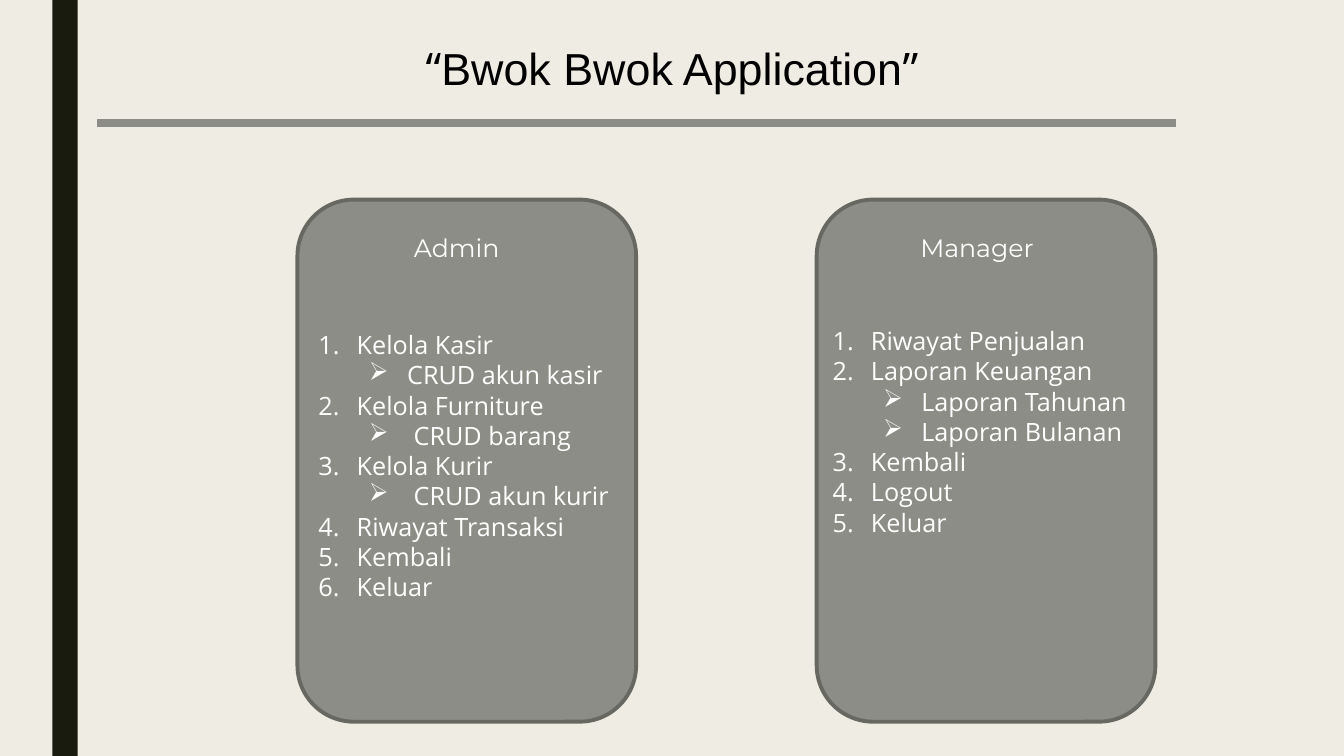
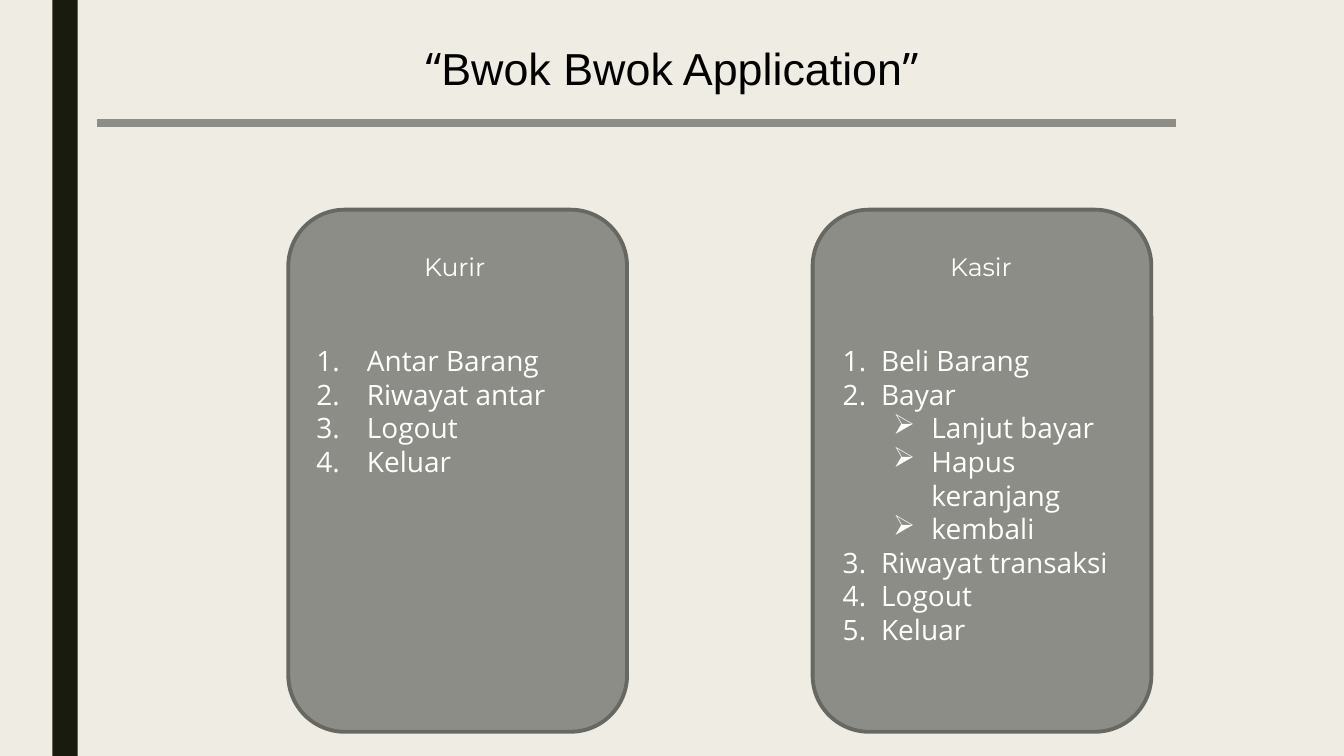
import pptx
import pptx.util
import pptx.dml.color
import pptx.enum.shapes
import pptx.enum.text
import pptx.oxml.ns
import lxml.etree

Inches, Pt = pptx.util.Inches, pptx.util.Pt
SHAPE = pptx.enum.shapes.MSO_SHAPE
TEXT = pptx.enum.text
qn = pptx.oxml.ns.qn

# Content: title runs as (text, font); list items as (level, text)
TITLE = [("“", "Open Sans"), ("Bwok Bwok Application", "Arial"), ("”", "Open Sans")]
SLIDES = [
    dict(top=1.98, head=2.26, size=18, cards=[
        dict(name="Admin", left=2.95, name_x=3.22, list_at=(3.06, 3.22), hang=0.38, items=[
            (0, "Kelola Kasir"), (1, "CRUD akun kasir"),
            (0, "Kelola Furniture"), (1, " CRUD barang"),
            (0, "Kelola Kurir"), (1, " CRUD akun kurir"),
            (0, "Riwayat Transaksi"), (0, "Kembali"), (0, "Keluar")]),
        dict(name="Manager", left=8.1, name_x=8.38, list_at=(8.16, 3.18), hang=0.38, items=[
            (0, "Riwayat Penjualan"), (0, "Laporan Keuangan"),
            (1, "Laporan Tahunan"), (1, "Laporan Bulanan"),
            (0, "Kembali"), (0, "Logout"), (0, "Keluar")]),
    ]),
    dict(top=2.08, head=2.44, size=20, cards=[
        dict(name="Kurir", left=2.86, name_x=3.2, list_at=(3.04, 3.36), hang=0.5, items=[
            (0, "Antar Barang"), (0, "Riwayat antar"), (0, "Logout"), (0, "Keluar")]),
        dict(name="Kasir", left=8.06, name_x=8.42, list_at=(8.26, 3.36), hang=0.38, items=[
            (0, "Beli Barang"), (0, "Bayar"), (1, "Lanjut bayar"),
            (1, "Hapus keranjang"), (1, "kembali"),
            (0, "Riwayat transaksi"), (0, "Logout"), (0, "Keluar")]),
    ]),
]

# Shared style
COLORS = dict(paper="EFEDE3", band="191B0E", card="8C8D86", edge="686863",
              title="000000", white="FFFFFF")
CARD_W, CARD_H = 3.36, 5.18
NAME_W, LIST_W = 2.62, 3.15
STEP = 0.5  # extra indent of a sub-item


def color(name):
    return pptx.dml.color.RGBColor.from_string(COLORS[name])


def add_box(slide, kind, left, top, width, height, fill, edge=None):
    box = slide.shapes.add_shape(kind, Inches(left), Inches(top), Inches(width), Inches(height))
    box.shadow.inherit = False
    box.fill.solid()
    box.fill.fore_color.rgb = color(fill)
    if edge:
        box.line.color.rgb = color(edge)
        box.line.width = Pt(2.75)
    else:
        box.line.fill.background()


def add_mark(para, level, hang):
    """Number a main item, or give a sub-item an arrow."""
    para.level = level
    props = para._p.get_or_add_pPr()
    props.set("marL", str(Inches(hang + STEP * level)))
    props.set("indent", str(-Inches(hang)))
    if level:
        lxml.etree.SubElement(props, qn("a:buChar")).set("char", "➢")
    else:
        lxml.etree.SubElement(props, qn("a:buAutoNum")).set("type", "arabicPeriod")


def add_text(slide, paras, left, top, width, height, size=18, ink="white",
             center=False, hang=None):
    """Each paragraph is (level, runs), each run is (text, font)."""
    box = slide.shapes.add_textbox(Inches(left), Inches(top), Inches(width), Inches(height))
    frame = box.text_frame
    frame.word_wrap = True
    frame.auto_size = TEXT.MSO_AUTO_SIZE.SHAPE_TO_FIT_TEXT
    for i, (level, runs) in enumerate(paras):
        para = frame.add_paragraph() if i else frame.paragraphs[0]
        para.alignment = TEXT.PP_ALIGN.CENTER if center else TEXT.PP_ALIGN.LEFT
        if hang:
            add_mark(para, level, hang)
        for text, font in runs:
            run = para.add_run()
            run.text = text
            run.font.name = font
            run.font.size = Pt(size)
            run.font.color.rgb = color(ink)


def add_frame(slide):
    """Band, title and rule, the same on every slide."""
    add_box(slide, SHAPE.RECTANGLE, 0.52, 0, 0.25, 7.5, "band")
    add_text(slide, [(0, TITLE)], 1.89, 0.36, 9.55, 0.64, size=32, ink="title", center=True)
    rule = slide.shapes.add_connector(pptx.enum.shapes.MSO_CONNECTOR.STRAIGHT,
                                      Inches(0.96), Inches(1.22), Inches(11.66), Inches(1.22))
    rule.line.color.rgb = color("card")
    rule.line.width = Pt(6)
    lxml.etree.SubElement(rule._element.spPr, qn("a:effectLst"))


def add_card(slide, card, top, head, size):
    add_box(slide, SHAPE.ROUNDED_RECTANGLE, card["left"], top, CARD_W, CARD_H, "card", "edge")
    add_text(slide, [(0, [(card["name"], "Montserrat")])], card["name_x"], head,
             NAME_W, 0.4, center=True)
    items = [(level, [(text, "Open Sans")]) for level, text in card["items"]]
    lines = len(items) + (card["name"] == "Kasir")  # one item there wraps
    add_text(slide, items, *card["list_at"], LIST_W, round(0.1 + lines * size / 60, 2),
             size=size, hang=card["hang"])


# Build
prs = pptx.Presentation()
prs.slide_width, prs.slide_height = Inches(13.33), Inches(7.5)
paper = prs.slide_master.background.fill
paper.solid()
paper.fore_color.rgb = color("paper")
for page in SLIDES:
    slide = prs.slides.add_slide(prs.slide_layouts[6])
    add_frame(slide)
    for card in page["cards"]:
        add_card(slide, card, page["top"], page["head"], page["size"])
prs.save("out.pptx")
